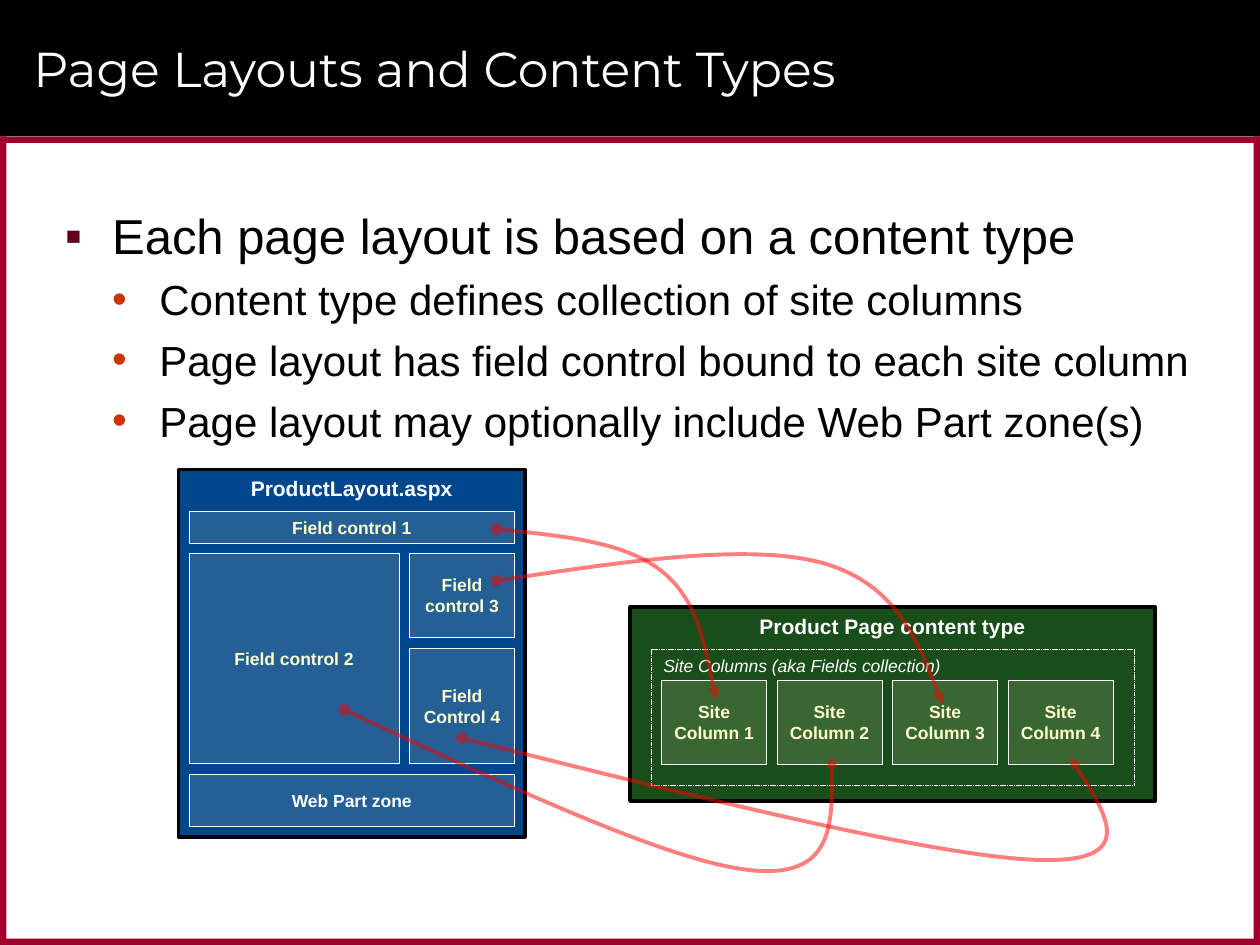
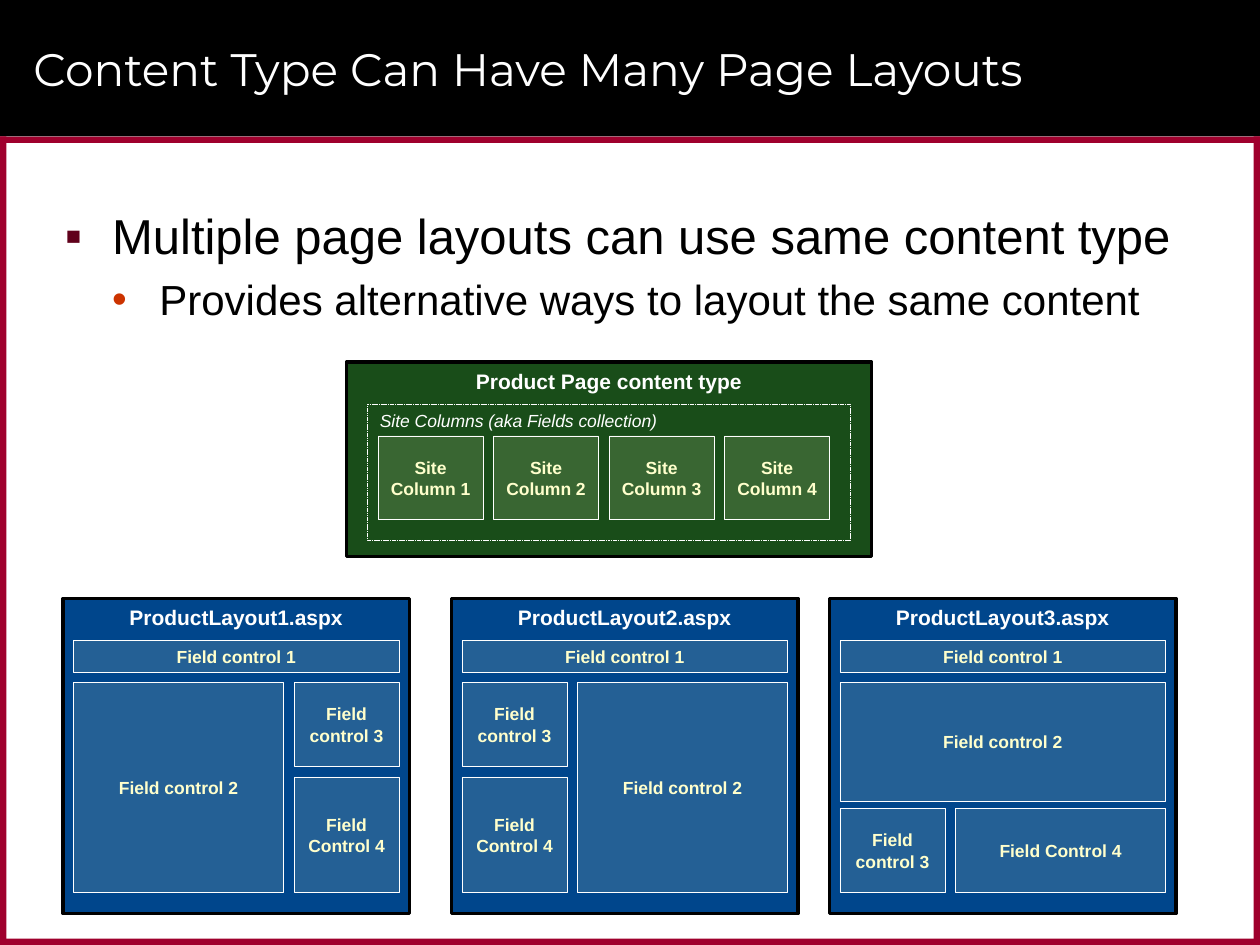
from typing import NamedTuple

from lxml.etree import SubElement
from pptx import Presentation
from pptx.dml.color import RGBColor
from pptx.enum.dml import MSO_LINE as Dash
from pptx.enum.shapes import MSO_SHAPE as Shape
from pptx.enum.text import MSO_ANCHOR as Anchor, PP_ALIGN as Align
from pptx.oxml.ns import qn
from pptx.util import Pt

PX = 7620  # EMU per px, 120 px to the inch
BLACK, WHITE, CREAM = "000000", "FFFFFF", "FFFFCC"
CRIMSON, BLUE, GREEN, RED = "9F002D", "00468C", "194D19", "FF0000"
HEAD, BODY = "Montserrat", "Arial"
STEPS = 16


class Box(NamedTuple):
    x: int
    y: int
    w: int
    h: int

    def shift(self, x: int, y: int) -> "Box":
        return Box(self.x + x, self.y + y, self.w, self.h)

    def emu(self) -> list[int]:
        return [n * PX for n in self]


class Level(NamedTuple):
    mark: str
    tint: str
    left: int
    size: int
    before: int
    after: int


class Style(NamedTuple):
    size: int
    ink: str = WHITE
    bold: bool = False
    slant: bool = False
    face: str = BODY


class Field(NamedTuple):
    text: str
    box: Box
    ink: str = CREAM


class Card(NamedTuple):
    name: str
    box: Box
    fields: list[Field]


class Link(NamedTuple):
    """A start point, then two cubic arcs of three points each."""
    start: tuple[int, int]
    arcs: list[list[tuple[int, int]]]


LEVELS = [Level("▪", "60001B", 45, 28, 6, 2),
          Level("•", "CC3300", 90, 24, 3, 3)]
HANG = 45
CAPTION = Style(12, bold=True)
FRAME = [(Box(0, 0, 1200, 130), BLACK), (Box(0, 130, 1200, 6), CRIMSON),
         (Box(0, 894, 1200, 6), CRIMSON), (Box(1194, 130, 6, 770), CRIMSON),
         (Box(0, 130, 6, 770), CRIMSON)]

# Field boxes are measured from the corner of their card
TOP = Field("Field control 1", Box(10, 40, 310, 30))
RIGHT = [TOP,
         Field("Field control 2", Box(10, 80, 200, 200)),
         Field("Field control 3", Box(220, 80, 100, 80)),
         Field("Field Control 4", Box(220, 170, 100, 110))]
LEFT = [TOP,
        Field("Field control 2", Box(120, 80, 200, 200)),
        Field("Field control 3", Box(10, 80, 100, 80)),
        Field("Field Control 4", Box(10, 170, 100, 110))]
BELOW = [TOP,
         Field("Field control 2", Box(10, 80, 310, 113)),
         Field("Field control 3", Box(10, 200, 100, 80)),
         Field("Field Control 4", Box(120, 200, 200, 80))]
ZONE = Field("Web Part zone", Box(10, 290, 310, 50), WHITE)

LINKS = [
    Link((473, 504), [[(533, 510), (594, 516), (629, 543)],
                      [(664, 570), (672, 618), (682, 666)]]),
    Link((328, 676), [[(484, 749), (640, 822), (717, 829)],
                      [(794, 836), (793, 779), (792, 720)]]),
    Link((473, 553), [[(592, 535), (712, 517), (783, 536)],
                      [(853, 556), (875, 613), (898, 671)]]),
    Link((440, 703), [[(666, 760), (892, 816), (989, 819)],
                      [(1085, 822), (1052, 772), (1019, 721)]]),
]


def color(code: str) -> RGBColor:
    return RGBColor.from_string(code)


def fade(part, share: int) -> None:
    """Make the solid fill inside a fill or line parent partly opaque."""
    tint = part.find(qn("a:solidFill"))[0]
    SubElement(tint, qn("a:alpha"), val=str(share * 1000))


def write(para, text: str, style: Style) -> None:
    para.text = text
    font = para.font
    font.name, font.size = style.face, Pt(style.size)
    font.bold, font.italic = style.bold, style.slant
    font.color.rgb = color(style.ink)


def rect(slide, box: Box, fill: str, edge: str = "", width: float = 0):
    shape = slide.shapes.add_shape(Shape.RECTANGLE, *box.emu())
    shape.shadow.inherit = False
    shape.fill.solid()
    shape.fill.fore_color.rgb = color(fill)
    if edge:
        shape.line.color.rgb = color(edge)
        shape.line.width = Pt(width)
    else:
        shape.line.fill.background()
    return shape


def label(shape, text: str, style: Style, anchor=Anchor.TOP,
          align=Align.CENTER) -> None:
    frame = shape.text_frame
    frame.word_wrap = True
    frame.vertical_anchor = anchor
    para = frame.paragraphs[0]
    para.alignment = align
    write(para, text, style)


def tile(slide, field: Field) -> None:
    """Draw a see-through field box."""
    shape = rect(slide, field.box, CREAM, WHITE, 0.25)
    fade(shape.element.spPr, 14)
    label(shape, field.text, Style(10, field.ink, bold=True), Anchor.MIDDLE)


def panel(slide, box: Box, fill: str, text: str) -> None:
    label(rect(slide, box, fill, BLACK, 2), text, CAPTION)


def layout(slide, card: Card) -> None:
    panel(slide, card.box, BLUE, card.name)
    for field in card.fields:
        spot = field.box.shift(card.box.x, card.box.y)
        tile(slide, field._replace(box=spot))


def content(slide, x: int, y: int) -> None:
    """Draw the content type with its four site columns."""
    panel(slide, Box(x, y, 500, 185), GREEN, "Product Page content type")
    group = rect(slide, Box(x + 20, y + 40, 460, 130), GREEN, WHITE, 0.25)
    group.line.dash_style = Dash.SQUARE_DOT
    label(group, "Site Columns (aka Fields collection)",
          Style(10, slant=True), align=Align.LEFT)
    for i in range(4):
        spot = Box(x + 30 + 110 * i, y + 70, 100, 80)
        tile(slide, Field(f"Site Column {i + 1}", spot))


def trace(link: Link) -> list[tuple[int, int]]:
    """Return points along the arcs, from which the bounds follow."""
    points, start = [], link.start
    for arc in link.arcs:
        for i in range(1, STEPS + 1):
            t = i / STEPS
            u = 1 - t
            parts = (u ** 3, 3 * u * u * t, 3 * u * t * t, t ** 3)
            nodes = zip(*[start, *arc])
            points.append(tuple(round(sum(k * n for k, n in zip(parts, axis)))
                                for axis in nodes))
        start = arc[-1]
    return points


def bend(shape, link: Link) -> None:
    """Replace the straight segments of a freeform by cubic arcs."""
    left, top = shape.left // PX, shape.top // PX
    route = next(shape.element.spPr.iter(qn("a:path")))
    for step in route.findall(qn("a:lnTo")):
        route.remove(step)
    for arc in link.arcs:
        cubic = SubElement(route, qn("a:cubicBezTo"))
        for x, y in arc:
            SubElement(cubic, qn("a:pt"), x=str(x - left), y=str(y - top))


def curve(slide, link: Link) -> None:
    pen = slide.shapes.build_freeform(*link.start, scale=PX)
    pen.add_line_segments(trace(link), close=False)
    shape = pen.convert_to_shape()
    bend(shape, link)
    shape.shadow.inherit = False
    shape.fill.background()
    shape.line.color.rgb = color(RED)
    shape.line.width = Pt(2.25)
    line = shape.element.spPr.find(qn("a:ln"))
    fade(line, 50)
    SubElement(line, qn("a:round"))
    SubElement(line, qn("a:headEnd"), type="oval")
    SubElement(line, qn("a:tailEnd"), type="triangle")


def bullet(para, level: Level) -> None:
    props = para._p.get_or_add_pPr()
    props.set("marL", str(level.left * PX))
    props.set("indent", str(-HANG * PX))
    tint = SubElement(props, qn("a:buClr"))
    SubElement(tint, qn("a:srgbClr"), val=level.tint)
    SubElement(props, qn("a:buFont"), typeface=BODY)
    SubElement(props, qn("a:buChar"), char=level.mark)


def outline(slide, lines: list[str]) -> None:
    """Write a main point and the points below it."""
    area = slide.shapes.add_textbox(*Box(50, 190, 1100, 680).emu())
    frame = area.text_frame
    frame.word_wrap = True
    for i, text in enumerate(lines):
        para = frame.paragraphs[0] if i == 0 else frame.add_paragraph()
        level = LEVELS[min(i, 1)]
        para.level = min(i, 1)
        bullet(para, level)
        para.space_before = Pt(level.before if i else 0)
        para.space_after = Pt(level.after)
        write(para, text, Style(level.size, BLACK))


def start(deck, title: str, size: int, lines: list[str]):
    """Add a slide with its frame, title and points."""
    slide = deck.slides.add_slide(deck.slide_layouts[6])
    for box, fill in FRAME:
        rect(slide, box, fill)
    head = slide.shapes.add_textbox(*Box(20, 10, 1130, 110).emu())
    label(head, title, Style(size, face=HEAD), Anchor.MIDDLE, Align.LEFT)
    outline(slide, lines)
    return slide


def main() -> None:
    deck = Presentation()
    deck.slide_width, deck.slide_height = 1200 * PX, 900 * PX

    slide = start(deck, "Page Layouts and Content Types", 28, [
        "Each page layout is based on a content type",
        "Content type defines collection of site columns",
        "Page layout has field control bound to each site column",
        "Page layout may optionally include Web Part zone(s)"])
    layout(slide, Card("ProductLayout.aspx", Box(170, 447, 330, 350),
                       [*RIGHT, ZONE]))
    content(slide, 600, 578)
    for link in LINKS:
        curve(slide, link)

    slide = start(deck, "Content Type Can Have Many Page Layouts", 26, [
        "Multiple page layouts can use same content type",
        "Provides alternative ways to layout the same content"])
    content(slide, 330, 345)
    plans = [(60, RIGHT), (430, LEFT), (790, BELOW)]
    for i, (x, fields) in enumerate(plans, 1):
        layout(slide, Card(f"ProductLayout{i}.aspx",
                           Box(x, 570, 330, 300), fields))

    deck.save("out.pptx")


if __name__ == "__main__":
    main()
